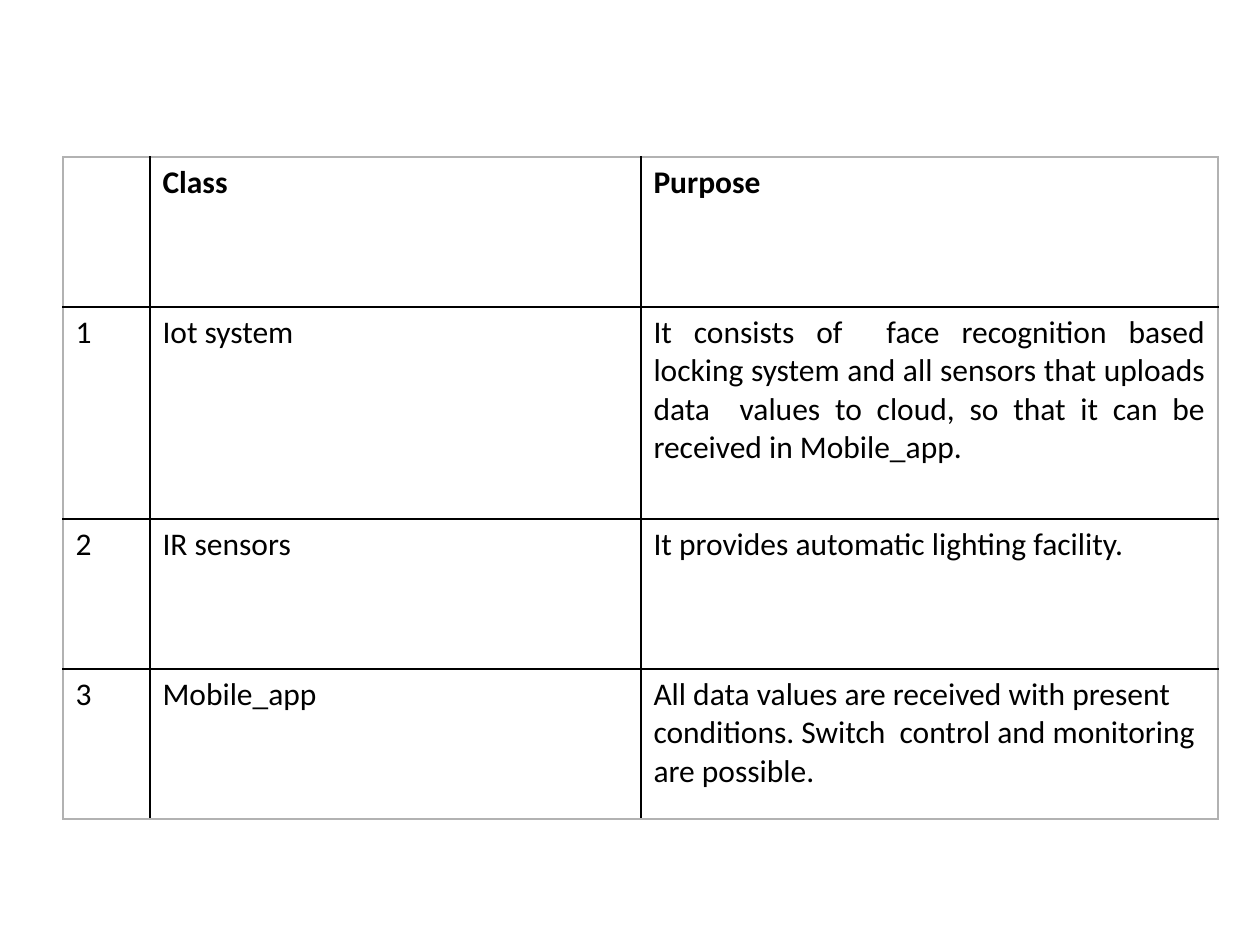
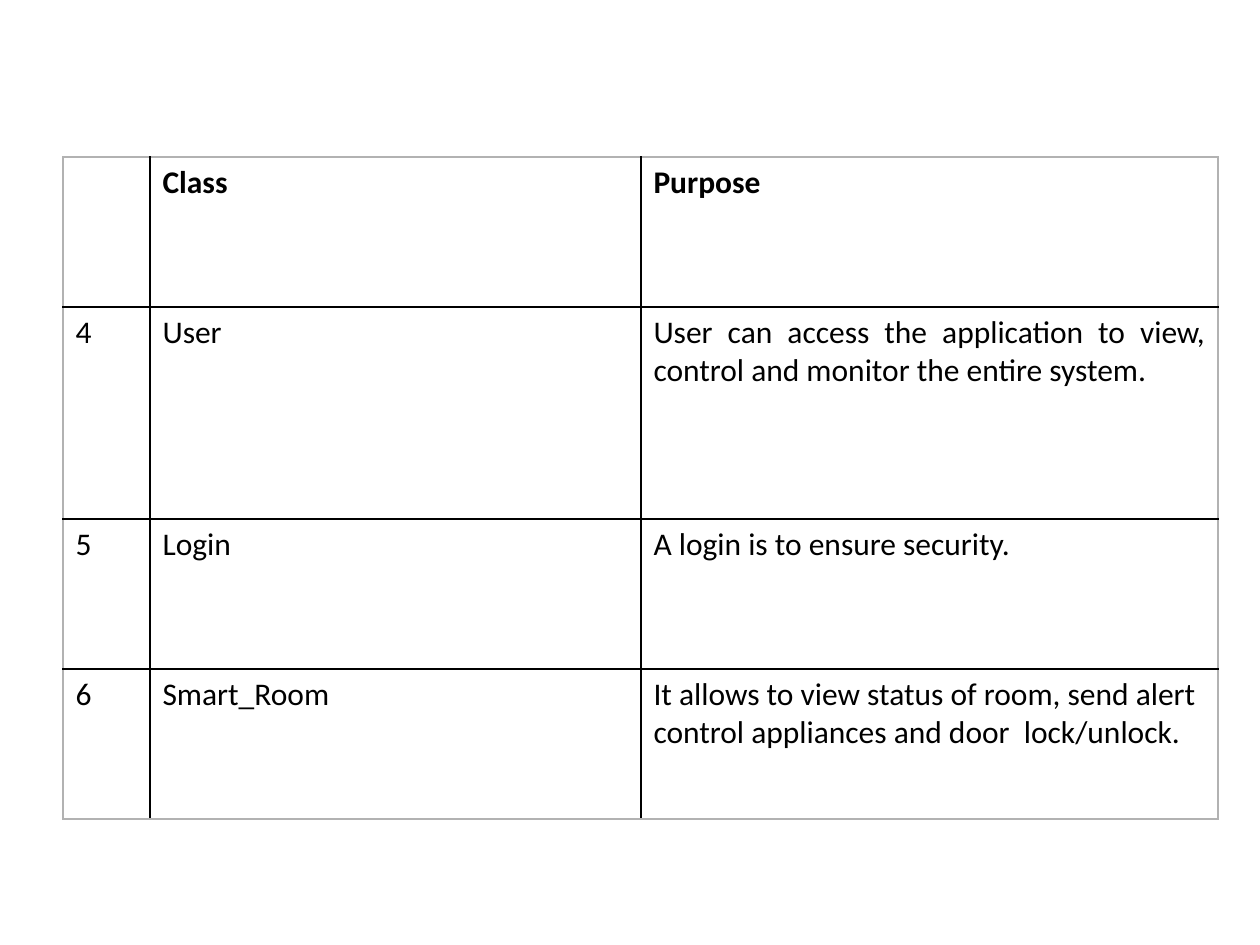
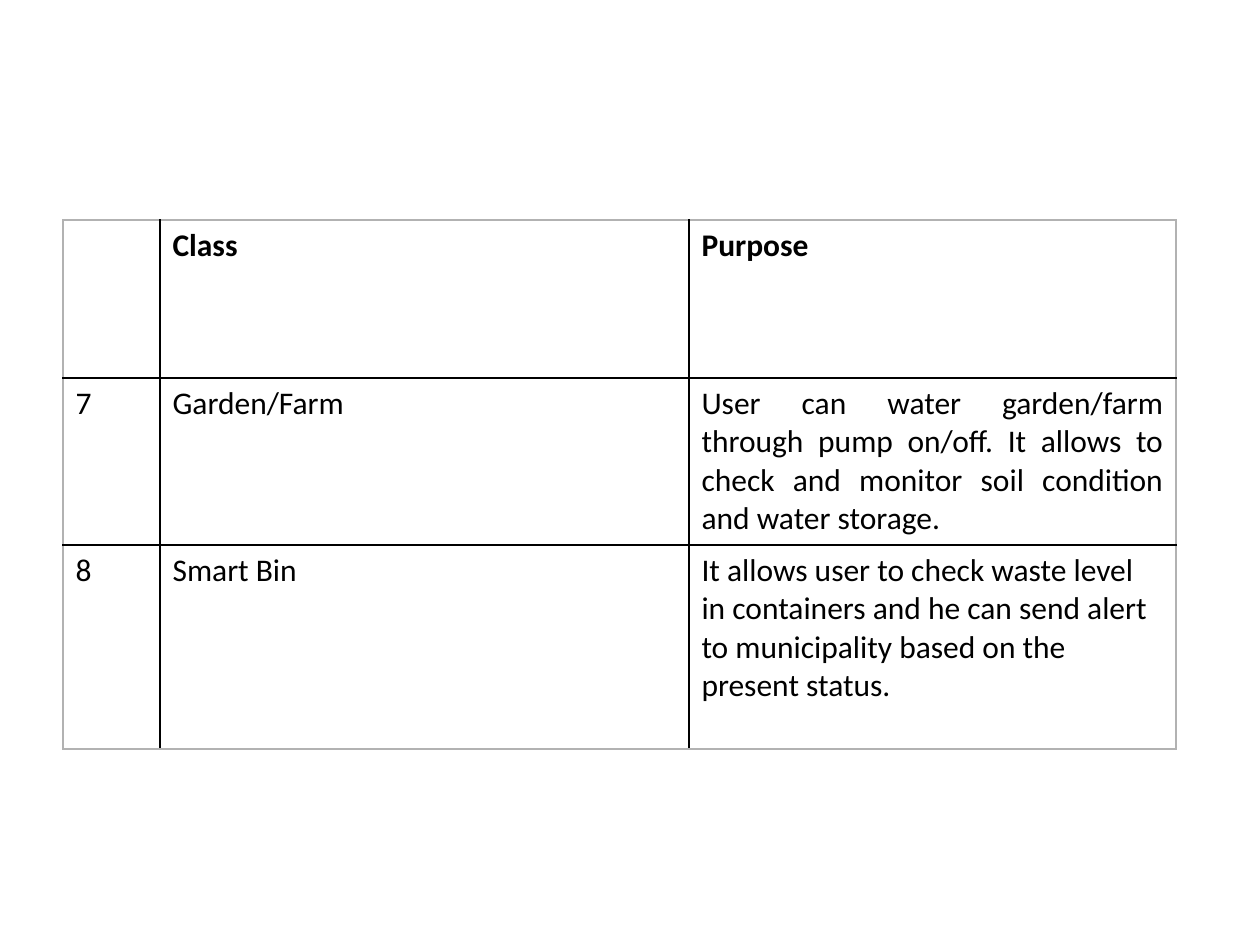
from dataclasses import dataclass

from lxml.etree import SubElement
from pptx import Presentation
from pptx.dml.color import RGBColor
from pptx.enum.text import PP_ALIGN as Align
from pptx.oxml.ns import qn
from pptx.util import Emu, Pt

PX_PER_INCH = 126
EMU_PER_INCH = 914400


@dataclass(frozen=True)
class Theme:
    font: str = "Calibri"
    text_size: int = 18
    ink: str = "000000"
    frame: str = "B2B2B2"
    rule_width: int = 1


@dataclass(frozen=True)
class Entry:
    number: str
    name: str
    purpose: str
    justified: bool = False


@dataclass(frozen=True)
class ClassTable:
    top: int
    columns: tuple[int, int, int]
    rows: tuple[int, ...]
    entries: tuple[Entry, ...]


THEME = Theme()
LEFT = 63
HEADER = Entry("", "Class", "Purpose")
WIDE_COLUMNS = (87, 491, 577)
FOUR_ROWS = (150, 212, 150, 150)

CLASS_TABLES = (
    ClassTable(157, WIDE_COLUMNS, FOUR_ROWS, (
        Entry("1", "Iot system",
              "It consists of  face recognition based locking system and all sensors "
              "that uploads data  values to cloud, so that it can be received in Mobile_app.",
              justified=True),
        Entry("2", "IR sensors", "It provides automatic lighting facility."),
        Entry("3", "Mobile_app",
              "All data values are received with present conditions. "
              "Switch  control and monitoring are possible."),
    )),
    ClassTable(157, WIDE_COLUMNS, FOUR_ROWS, (
        Entry("4", "User",
              "User can access the application to view, control and monitor the entire system.",
              justified=True),
        Entry("5", "Login", "A login is to ensure security."),
        Entry("6", "Smart_Room",
              "It allows to view status of room, send alert control appliances "
              "and door  lock/unlock."),
    )),
    ClassTable(220, (97, 529, 487), (158, 167, 204), (
        Entry("7", "Garden/Farm",
              "User can water garden/farm through pump on/off. It allows to check "
              "and monitor soil condition and water storage.",
              justified=True),
        Entry("8", "Smart Bin",
              "It allows user to check waste level in containers and he can send alert "
              "to municipality based on the present status."),
    )),
)


def px(length: int) -> Emu:
    return Emu(round(length * EMU_PER_INCH / PX_PER_INCH))


def rule_cell(cell, outer_sides: dict[str, bool]) -> None:
    properties = cell._tc.get_or_add_tcPr()
    for side, is_outer in outer_sides.items():
        rule = SubElement(properties, qn(f"a:{side}"), w=str(Pt(THEME.rule_width)))
        paint = SubElement(rule, qn("a:solidFill"))
        SubElement(paint, qn("a:srgbClr"), val=THEME.frame if is_outer else THEME.ink)
    cell.fill.background()


def write_cell(cell, wording: str, bold: bool, justified: bool) -> None:
    if not wording:
        return
    paragraph = cell.text_frame.paragraphs[0]
    if justified:
        paragraph.alignment = Align.JUSTIFY
    run = paragraph.add_run()
    run.text = wording
    run.font.name = THEME.font
    run.font.size = Pt(THEME.text_size)
    run.font.bold = bold
    run.font.color.rgb = RGBColor.from_string(THEME.ink)


def draw_class_table(slide, plan: ClassTable) -> None:
    last_row, last_column = len(plan.rows) - 1, len(plan.columns) - 1
    grid = slide.shapes.add_table(
        len(plan.rows), len(plan.columns), px(LEFT), px(plan.top),
        px(sum(plan.columns)), px(sum(plan.rows)),
    ).table
    grid.horz_banding = False
    grid.first_row = False
    for column, width in zip(grid.columns, plan.columns):
        column.width = px(width)
    for row, height in zip(grid.rows, plan.rows):
        row.height = px(height)
    for r, entry in enumerate((HEADER, *plan.entries)):
        for c, wording in enumerate((entry.number, entry.name, entry.purpose)):
            cell = grid.cell(r, c)
            rule_cell(cell, {"lnL": c == 0, "lnR": c == last_column,
                             "lnT": r == 0, "lnB": r == last_row})
            write_cell(cell, wording, entry is HEADER,
                       entry.justified and c == last_column)


def main() -> None:
    deck = Presentation()
    deck.slide_width, deck.slide_height = px(1260), px(945)
    blank = deck.slide_layouts[6]
    for plan in CLASS_TABLES:
        draw_class_table(deck.slides.add_slide(blank), plan)
    deck.save("out.pptx")


if __name__ == "__main__":
    main()
